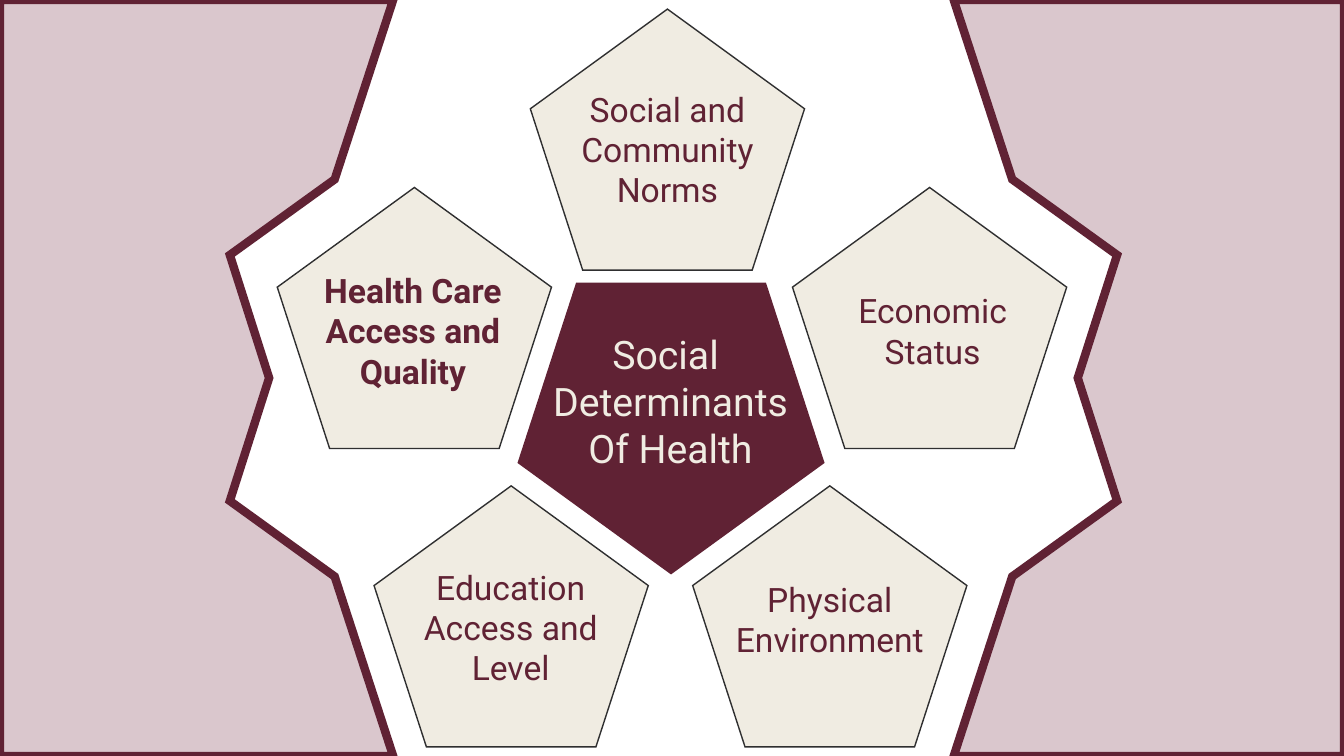
from dataclasses import dataclass

from lxml import etree
from pptx import Presentation
from pptx.dml.color import RGBColor
from pptx.enum.shapes import MSO_SHAPE
from pptx.enum.text import MSO_AUTO_SIZE, PP_ALIGN
from pptx.oxml.ns import qn
from pptx.util import Inches, Pt

PENTAGON = MSO_SHAPE.REGULAR_PENTAGON
CENTER = PP_ALIGN.CENTER
GROW = MSO_AUTO_SIZE.SHAPE_TO_FIT_TEXT

WIDTH, HEIGHT = 13.33, 7.5
MIRROR = 13.36
WINE, CREAM, ROSE, CHARCOAL = "602234", "F0ECE2", "B995A1", "2F2F30"
UPPER_EDGE = [(3.9, 0), (3.32, 1.78), (2.28, 2.53), (2.67, 3.75)]


@dataclass
class Determinant:
    lines: list[str]
    pentagon: tuple[float, float]
    text: tuple[float, float, float, float]
    pentagon_size: tuple[float, float] = (2.72, 2.59)
    rotation: int = 0
    fill: str = CREAM
    line: str = CHARCOAL
    color: str = WINE
    size: int = 24
    bold: bool = False


DETERMINANTS = [
    Determinant(["Social ", "Determinants Of Health"], (5.14, 2.81), (5.35, 3.23, 2.6, 1.51),
                (3.03, 2.88), 180, WINE, WINE, CREAM, 28),
    Determinant(["Social and Community Norms"], (5.26, 0.09), (5.32, 0.83, 2.6, 1.31)),
    Determinant(["Economic Status"], (7.86, 1.86), (7.95, 2.83, 2.6, 0.91)),
    Determinant(["Physical Environment"], (6.87, 4.82), (6.93, 5.69, 2.6, 0.91)),
    Determinant(["Education Access and Level"], (3.71, 4.82), (3.92, 5.57, 2.29, 1.31)),
    Determinant(["Health Care Access and Quality"], (2.75, 1.86), (2.92, 2.63, 2.35, 1.31),
                bold=True),
]


def rgb(value: str) -> RGBColor:
    return RGBColor.from_string(value)


def style_shape(sp, fill: str, line: str, width: float) -> None:
    sp.shadow.inherit = False
    sp.fill.solid()
    sp.fill.fore_color.rgb = rgb(fill)
    sp.line.color.rgb = rgb(line)
    sp.line.width = Pt(width)
    ln = sp._element.spPr.find(qn("a:ln"))
    etree.SubElement(ln, qn("a:miter")).set("lim", "800000")


def add_side_panels(s) -> None:
    lower_edge = [(x, HEIGHT - y) for x, y in reversed(UPPER_EDGE[:-1])]
    left_edge = UPPER_EDGE + lower_edge
    right_edge = [(MIRROR - x, y) for x, y in left_edge]
    panels = [
        [(WIDTH, 0), *right_edge, (WIDTH, HEIGHT)],
        [(0, 0), *left_edge, (0, HEIGHT)],
    ]
    right, left = [[(Inches(x), Inches(y)) for x, y in panel] for panel in panels]
    builder = s.shapes.build_freeform(*right[0])
    builder.add_line_segments(right[1:], close=True)
    builder.move_to(*left[0])
    builder.add_line_segments(left[1:], close=True)
    sp = builder.convert_to_shape()
    style_shape(sp, ROSE, WINE, 6)
    color = sp._element.spPr.find(qn("a:solidFill"))[0]
    etree.SubElement(color, qn("a:alpha")).set("val", "52000")


def add_determinant(s, item: Determinant) -> None:
    shapes = s.shapes.add_group_shape().shapes
    box = map(Inches, item.pentagon + item.pentagon_size)
    sp = shapes.add_shape(PENTAGON, *box)
    sp.rotation = item.rotation
    style_shape(sp, item.fill, item.line, 1)

    tf = shapes.add_textbox(*map(Inches, item.text)).text_frame
    tf.word_wrap = True
    tf.auto_size = GROW
    font_format = {"name": "Roboto", "size": Pt(item.size), "bold": item.bold}
    for i, line in enumerate(item.lines):
        p = tf.add_paragraph() if i else tf.paragraphs[0]
        p.alignment = CENTER
        r = p.add_run()
        r.text = line
        for key, value in font_format.items():
            setattr(r.font, key, value)
        r.font.color.rgb = rgb(item.color)


def main() -> None:
    prs = Presentation()
    prs.slide_width, prs.slide_height = Inches(WIDTH), Inches(HEIGHT)
    s = prs.slides.add_slide(prs.slide_layouts[6])
    add_side_panels(s)
    for item in DETERMINANTS:
        add_determinant(s, item)
    prs.save("out.pptx")


if __name__ == "__main__":
    main()
